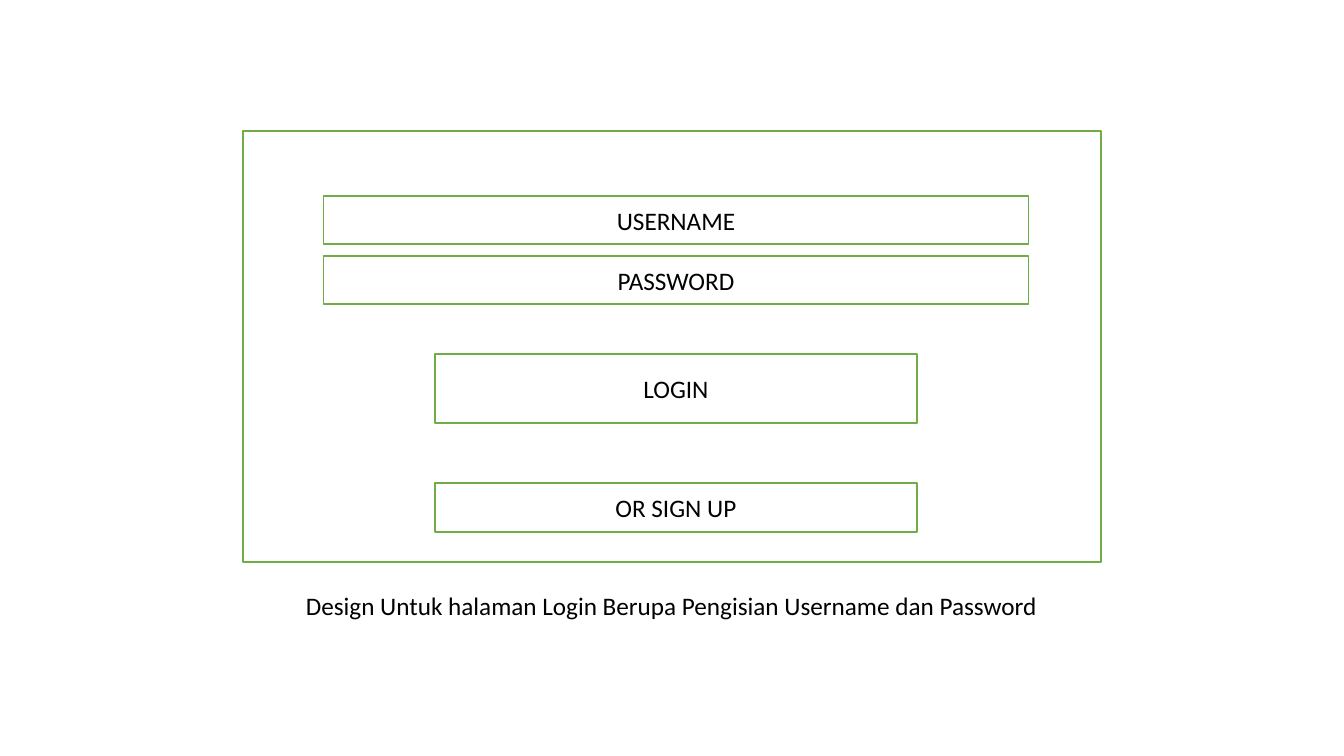
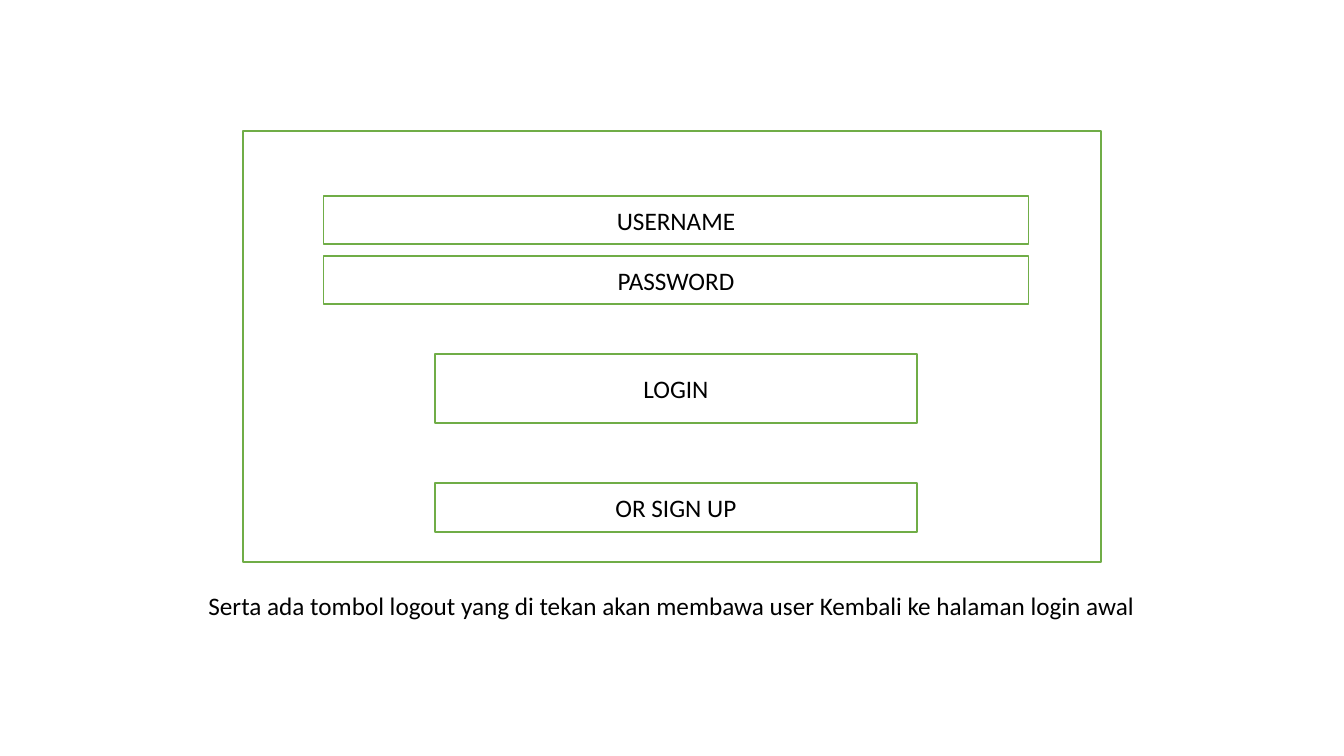
from dataclasses import dataclass
from pptx import Presentation
from pptx.dml.color import RGBColor as RGB
from pptx.enum.shapes import MSO_SHAPE as Shape
from pptx.enum.text import MSO_ANCHOR as Anchor, MSO_AUTO_SIZE as Fit, PP_ALIGN as Align
from pptx.util import Emu, Pt


@dataclass(frozen=True)
class Theme:
    paper: RGB = RGB(0xFF, 0xFF, 0xFF)
    ink: RGB = RGB(0, 0, 0)
    edge: RGB = RGB(0x70, 0xAD, 0x47)
    font: str = "Calibri"
    size: int = 18
    line: int = 1


CAPTIONS = [
    "Design Untuk halaman Login Berupa Pengisian Username dan Password",
    "Serta ada tombol logout yang di tekan akan membawa user Kembali ke halaman login awal",
]
FIELD, BUTTON = 705, 482
FORM = [
    ("LOGIN", BUTTON, 354, 69),
    ("USERNAME", FIELD, 196, 48),
    ("PASSWORD", FIELD, 256, 48),
    ("OR SIGN UP", BUTTON, 483, 49),
]
SIZE = (1344, 756)
PANEL = (243, 131, 858, 431)
CAPTION = (176, 585, 991, 40)
MIDDLE = 676
THEME = Theme()


def px(n):
    return Emu(round(n * 914400 / 100.8))


def write(frame, text, size=THEME.size, color=THEME.ink, align=Align.CENTER, anchor=Anchor.MIDDLE):
    frame.word_wrap = True
    frame.vertical_anchor = anchor
    para = frame.paragraphs[0]
    para.alignment = align
    run = para.add_run()
    run.text = text
    run.font.name = THEME.font
    run.font.size = Pt(size)
    run.font.color.rgb = color


def add_box(slide, area, text=None):
    box = slide.shapes.add_shape(Shape.RECTANGLE, *map(px, area))
    box.shadow.inherit = False
    box.fill.solid()
    box.fill.fore_color.rgb = THEME.paper
    box.line.color.rgb = THEME.edge
    box.line.width = Pt(THEME.line)
    if text:
        write(box.text_frame, text)


def add_form(slide):
    add_box(slide, PANEL)
    for label, width, top, height in FORM:
        add_box(slide, (MIDDLE - width / 2, top, width, height), label)


def add_note(slide, text):
    note = slide.shapes.add_textbox(*map(px, CAPTION))
    write(note.text_frame, text, anchor=Anchor.TOP)
    note.text_frame.auto_size = Fit.SHAPE_TO_FIT_TEXT


def main():
    deck = Presentation()
    deck.slide_width, deck.slide_height = map(px, SIZE)
    blank = deck.slide_layouts.get_by_name("Blank")
    for text in CAPTIONS:
        slide = deck.slides.add_slide(blank)
        add_form(slide)
        add_note(slide, text)
    deck.save("out.pptx")


if __name__ == "__main__":
    main()
